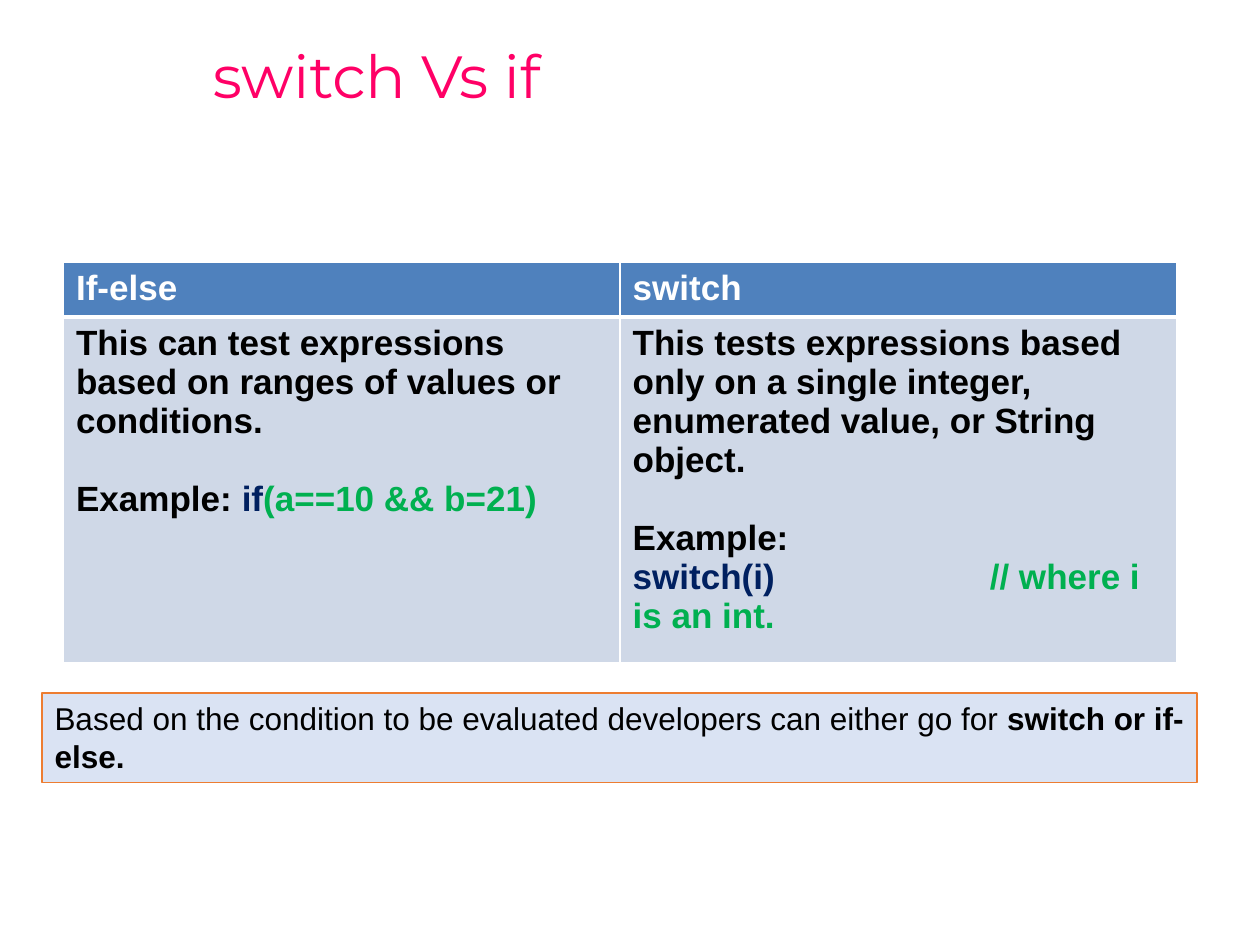
from dataclasses import dataclass

from lxml import etree
from pptx import Presentation
from pptx.dml.color import RGBColor
from pptx.enum.shapes import MSO_SHAPE
from pptx.enum.text import MSO_ANCHOR, PP_ALIGN
from pptx.oxml.ns import qn
from pptx.util import Cm, Pt

RECT = MSO_SHAPE.RECTANGLE
MIDDLE, TOP = MSO_ANCHOR.MIDDLE, MSO_ANCHOR.TOP
LEFT = PP_ALIGN.LEFT


@dataclass(frozen=True)
class Theme:
    pink: str = "FF0066"
    white: str = "FFFFFF"
    black: str = "000000"
    header: str = "4F81BD"
    body: str = "CFD8E7"
    keyword: str = "002060"
    code: str = "00B050"
    note: str = "DAE3F3"
    note_line: str = "ED7D31"
    title_font: str = "Montserrat"
    font: str = "Arial"
    title_size: int = 34
    table_size: int = 20
    note_size: int = 18


class SlideBuilder:
    def __init__(self, prs, theme):
        self.theme = theme
        self.s = prs.slides.add_slide(prs.slide_layouts[6])

    def add_text(self, tf, paragraphs, size, font, **fmt):
        """Each paragraph is a list of (text, colour, bold) runs."""
        tf.word_wrap = True
        for i, runs in enumerate(paragraphs):
            p = tf.paragraphs[0] if i == 0 else tf.add_paragraph()
            for name, value in {"alignment": LEFT, **fmt}.items():
                setattr(p, name, value)
            for text, color, bold in runs:
                for n, line in enumerate(text.split("\n")):
                    if n:
                        p.add_line_break()
                    if not line:
                        continue
                    r = p.add_run()
                    r.text = line
                    for name, value in {"name": font, "size": Pt(size), "bold": bold}.items():
                        setattr(r.font, name, value)
                    r.font.color.rgb = RGBColor.from_string(color)

    def title(self, text, box):
        tf = self.s.shapes.add_textbox(*map(Cm, box)).text_frame
        tf.vertical_anchor = MIDDLE
        t = self.theme
        self.add_text(tf, [[(text, t.pink, False)]], t.title_size, t.title_font, line_spacing=0.9)

    def note(self, runs, box):
        t = self.theme
        sp = self.s.shapes.add_shape(RECT, *map(Cm, box))
        sp.shadow.inherit = False
        sp.fill.solid()
        sp.fill.fore_color.rgb = RGBColor.from_string(t.note)
        sp.line.color.rgb = RGBColor.from_string(t.note_line)
        sp.line.width = Pt(0.75)
        sp.text_frame.vertical_anchor = TOP
        self.add_text(sp.text_frame, [runs], t.note_size, t.font, space_before=Pt(12))

    def borders(self, cell, widths):
        tc_pr = cell._tc.get_or_add_tcPr()
        for i, (side, width) in enumerate(widths.items()):
            ln = etree.Element(qn(f"a:ln{side}"), w=str(Pt(width)))
            fill = etree.SubElement(ln, qn("a:solidFill"))
            etree.SubElement(fill, qn("a:srgbClr"), val=self.theme.white)
            tc_pr.insert(i, ln)

    def tab_stop(self, p, position):
        tabs = etree.SubElement(p._p.get_or_add_pPr(), qn("a:tabLst"))
        etree.SubElement(tabs, qn("a:tab"), pos=str(Cm(position)), algn="l")

    def table(self, rows, box, heights):
        t = self.theme
        tbl = self.s.shapes.add_table(len(rows), len(rows[0]), *map(Cm, box)).table
        for row, height in zip(tbl.rows, heights):
            row.height = Cm(height)
        for i, contents in enumerate(rows):
            header = i == 0
            for j, paragraphs in enumerate(contents):
                cell = tbl.cell(i, j)
                cell.fill.solid()
                cell.fill.fore_color.rgb = RGBColor.from_string(t.header if header else t.body)
                self.borders(cell, {"L": 1, "R": 1, "T": 1 if header else 3, "B": 3 if header else 1})
                self.add_text(cell.text_frame, paragraphs, t.table_size, t.font)
                # One line of space before each example
                for p in cell.text_frame.paragraphs[1:]:
                    p.space_before = Pt(22.5)
                    self.tab_stop(p, 7.2)


prs = Presentation()
prs.slide_width, prs.slide_height = Cm(25.4), Cm(19.05)
theme = Theme()
slide = SlideBuilder(prs, theme)

# Title
slide.title("switch Vs if", (4.04, 0.03, 21.36, 3.15))

# Comparison table
header = [[[(text, theme.white, True)]] for text in ("If-else", "switch")]
if_else = [
    [("This can test expressions based on ranges of values or conditions.", theme.black, True)],
    [("Example: ", theme.black, True), ("if", theme.keyword, True),
     ("(a==10 && b=21)", theme.code, True)],
]
switch = [
    [("This tests expressions based only on a single integer, enumerated value, "
      "or String object.", theme.black, True)],
    [("Example: \n", theme.black, True), ("switch(i)\t", theme.keyword, True),
     ("// where i is an int.", theme.code, True)],
]
slide.table([header, [if_else, switch]], (1.28, 5.29, 22.44, 7.28), (1.1, 6.18))

# Conclusion
slide.note(
    [("Based on the condition to be evaluated developers can either go for ", theme.black, False),
     ("switch or if-else.", theme.black, True)],
    (0.85, 13.97, 23.28, 1.8),
)

prs.save("out.pptx")
